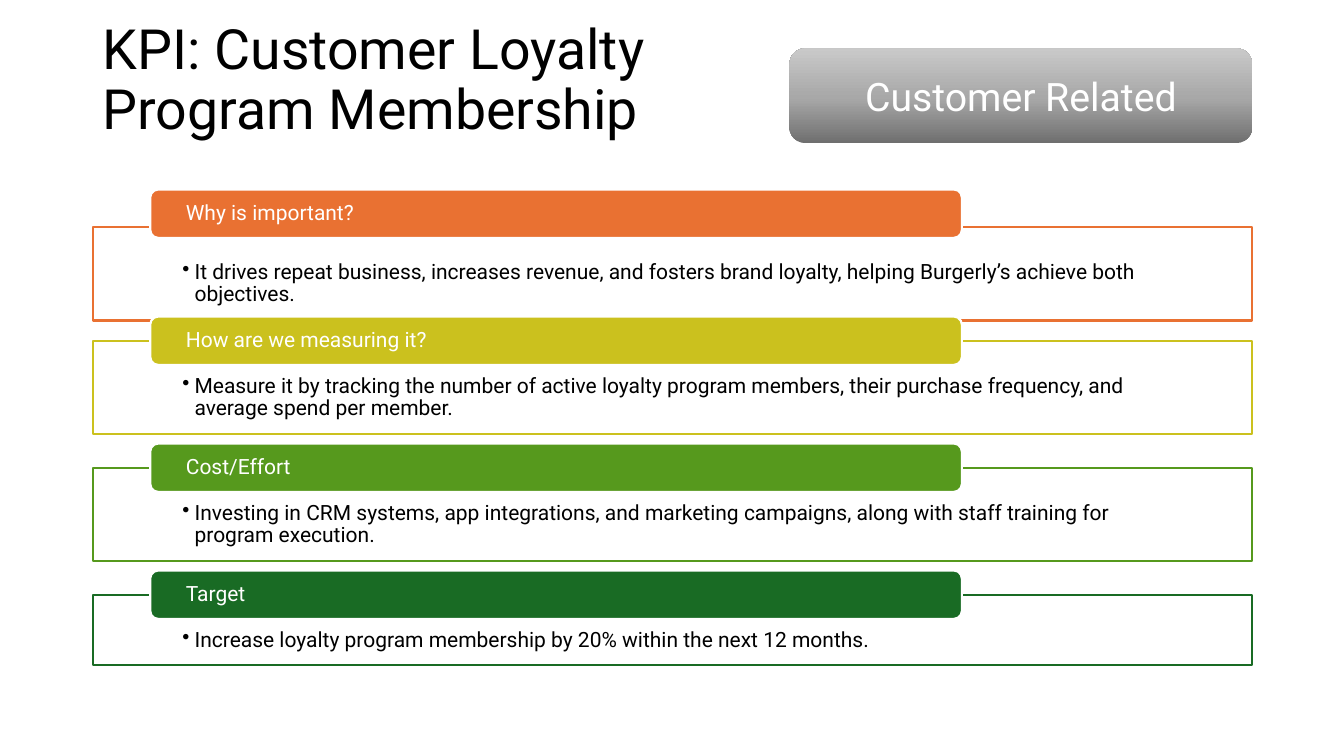
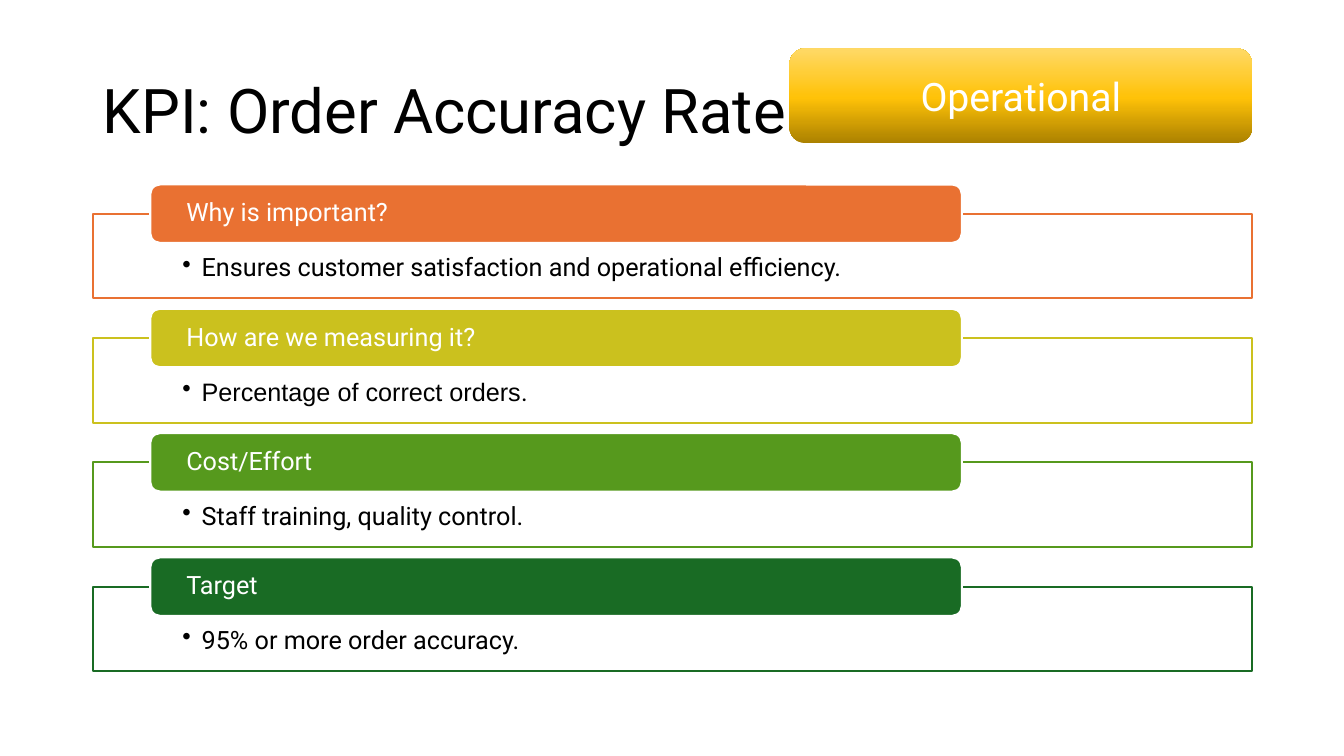
from copy import deepcopy
from dataclasses import dataclass

from lxml.etree import SubElement
from pptx import Presentation
from pptx.dml.color import RGBColor
from pptx.enum.shapes import MSO_SHAPE
from pptx.enum.text import MSO_ANCHOR, PP_ALIGN
from pptx.oxml.ns import qn
from pptx.shapes.autoshape import Shape
from pptx.slide import Slide
from pptx.text.text import TextFrame, _Paragraph
from pptx.util import Inches, Pt

WHITE = RGBColor(0xFF, 0xFF, 0xFF)
BLACK = RGBColor(0x00, 0x00, 0x00)
SECTION_COLORS = (
    RGBColor(0xE9, 0x71, 0x32),
    RGBColor(0xCB, 0xC1, 0x1E),
    RGBColor(0x56, 0x99, 0x1D),
    RGBColor(0x19, 0x6B, 0x24),
)
GREY_GRADIENT = (
    RGBColor(0x6F, 0x6F, 0x6F),
    RGBColor(0xA8, 0xA8, 0xA8),
    RGBColor(0xC9, 0xC9, 0xC9),
)
GOLD_GRADIENT = (
    RGBColor(0xAB, 0x81, 0x00),
    RGBColor(0xFF, 0xC2, 0x08),
    RGBColor(0xFF, 0xD9, 0x66),
)
GRADIENT_POSITIONS = (0, 0.48, 1)

FONT = "Roboto"
HEADINGS = ("Why is important?", "How are we measuring it?", "Cost/Effort", "Target")
LEFT, WIDTH = 0.92, 11.5
HEADING_LEFT, HEADING_WIDTH = 1.49, 8.05


@dataclass(frozen=True)
class Span:
    text: str
    font: str = FONT


@dataclass(frozen=True)
class Section:
    spans: tuple[Span, ...]
    height: float
    drop: float


@dataclass(frozen=True)
class Style:
    size: float
    heading_height: float
    first_top: float
    last_top: float
    body_inset: float
    indent: float


@dataclass(frozen=True)
class Kpi:
    title: str
    title_size: float
    title_top: float
    category: str
    gradient: tuple[RGBColor, ...]
    style: Style
    sections: tuple[Section, ...]


KPIS = (
    Kpi(
        "KPI: Customer Loyalty\vProgram Membership", 39.6, 0.08,
        "Customer Related", GREY_GRADIENT,
        Style(15, 0.48, 1.88, 5.66, 0.34, 0.12),
        (
            Section((Span("It drives repeat business, increases revenue, and fosters brand "
                          "loyalty, helping Burgerly’s achieve both objectives."),), 0.93, 0.37),
            Section((Span("Measure it by tracking the number of active loyalty program members, "
                          "their purchase frequency, and average spend per member."),), 0.93, 0.24),
            Section((Span("Investing in CRM systems, app integrations, and marketing campaigns, "
                          "along with staff training for program execution."),), 0.93, 0.24),
            Section((Span("Increase loyalty program membership by 20% within the next "
                          "12 months."),), 0.7, 0.24),
        ),
    ),
    Kpi(
        "KPI: Order Accuracy Rate", 44, 0.4,
        "Operational", GOLD_GRADIENT,
        Style(18, 0.58, 1.83, 5.53, 0.41, 0.19),
        (
            Section((Span("Ensures customer satisfaction and operational efficiency."),), 0.84, 0.29),
            Section((Span("Percentage of correct orders", "Arial"), Span(".")), 0.84, 0.29),
            Section((Span("Staff training, quality control."),), 0.84, 0.29),
            Section((Span("95% or more order accuracy."),), 0.84, 0.29),
        ),
    ),
)


def set_font(paragraph: _Paragraph, size: float, color: RGBColor) -> None:
    paragraph.font.name = FONT
    paragraph.font.size = Pt(size)
    paragraph.font.color.rgb = color


def set_frame(frame: TextFrame, anchor: MSO_ANCHOR, side: float, top: float, bottom: float) -> None:
    frame.word_wrap = True
    frame.vertical_anchor = anchor
    frame.margin_left = frame.margin_right = Inches(side)
    frame.margin_top, frame.margin_bottom = Inches(top), Inches(bottom)


def add_block(page: Slide, kind: MSO_SHAPE, left: float, top: float, width: float, height: float) -> Shape:
    block = page.shapes.add_shape(kind, Inches(left), Inches(top), Inches(width), Inches(height))
    block.shadow.inherit = False
    return block


def paint(block: Shape, fill: RGBColor, line: RGBColor) -> None:
    block.fill.solid()
    block.fill.fore_color.rgb = fill
    block.line.color.rgb = line
    block.line.width = Pt(1.5)


def add_bullet(paragraph: _Paragraph, indent: float) -> None:
    properties = paragraph._p.get_or_add_pPr()
    properties.set("marL", str(Inches(indent)))
    properties.set("indent", str(-Inches(indent)))
    SubElement(properties, qn("a:buChar")).set("char", "•")


def add_title(page: Slide, kpi: Kpi) -> None:
    box = page.shapes.add_textbox(Inches(LEFT), Inches(kpi.title_top), Inches(WIDTH), Inches(1.45))
    set_frame(box.text_frame, MSO_ANCHOR.MIDDLE, 0.1, 0.05, 0.05)
    paragraph = box.text_frame.paragraphs[0]
    paragraph.text = kpi.title
    paragraph.line_spacing = 0.9
    set_font(paragraph, kpi.title_size, BLACK)


def add_category(page: Slide, kpi: Kpi) -> None:
    badge = add_block(page, MSO_SHAPE.ROUNDED_RECTANGLE, 7.83, 0.48, 4.59, 0.94)
    badge.line.fill.background()
    badge.fill.gradient()
    badge.fill.gradient_angle = 90
    stop_list = badge._element.spPr.find(qn("a:gradFill")).find(qn("a:gsLst"))
    stop_list.append(deepcopy(stop_list[0]))
    for stop, color, position in zip(badge.fill.gradient_stops, kpi.gradient, GRADIENT_POSITIONS):
        stop.color.rgb = color
        stop.position = position
    set_frame(badge.text_frame, MSO_ANCHOR.MIDDLE, 0.1, 0.05, 0.05)
    paragraph = badge.text_frame.paragraphs[0]
    paragraph.text = kpi.category
    paragraph.alignment = PP_ALIGN.CENTER
    set_font(paragraph, 28, WHITE)


def add_section(page: Slide, section: Section, heading: str, color: RGBColor, top: float, style: Style) -> None:
    panel = add_block(page, MSO_SHAPE.RECTANGLE, LEFT, top + section.drop, WIDTH, section.height)
    paint(panel, WHITE, color)
    set_frame(panel.text_frame, MSO_ANCHOR.TOP, 0.89, style.body_inset, 0.12)
    body = panel.text_frame.paragraphs[0]
    body.alignment = PP_ALIGN.LEFT
    body.line_spacing = 0.9
    add_bullet(body, style.indent)
    set_font(body, style.size, BLACK)
    for span in section.spans:
        run = body.add_run()
        run.text = span.text
        if span.font != FONT:
            run.font.name = span.font

    tab = add_block(page, MSO_SHAPE.ROUNDED_RECTANGLE, HEADING_LEFT, top, HEADING_WIDTH, style.heading_height)
    paint(tab, color, WHITE)
    set_frame(tab.text_frame, MSO_ANCHOR.MIDDLE, 0.33, 0, 0)
    label = tab.text_frame.paragraphs[0]
    label.text = heading
    label.alignment = PP_ALIGN.LEFT
    label.line_spacing = 0.9
    set_font(label, style.size, WHITE)


def add_kpi_page(page: Slide, kpi: Kpi) -> None:
    add_category(page, kpi)
    add_title(page, kpi)
    style = kpi.style
    pitch = (style.last_top - style.first_top) / (len(HEADINGS) - 1)
    for index, (section, heading, color) in enumerate(zip(kpi.sections, HEADINGS, SECTION_COLORS)):
        add_section(page, section, heading, color, style.first_top + index * pitch, style)


def main() -> None:
    deck = Presentation()
    deck.slide_width, deck.slide_height = Inches(13.33), Inches(7.5)
    for kpi in KPIS:
        add_kpi_page(deck.slides.add_slide(deck.slide_layouts[6]), kpi)
    deck.save("out.pptx")


if __name__ == "__main__":
    main()
